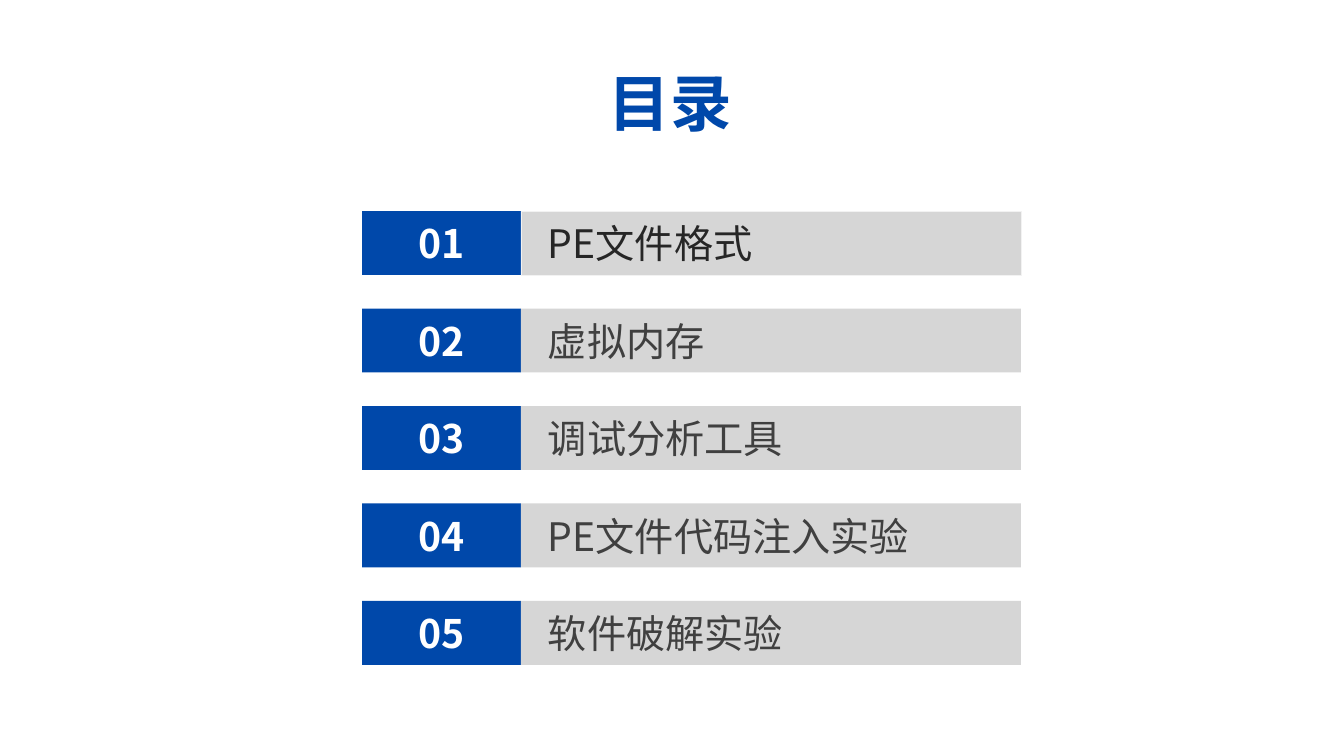
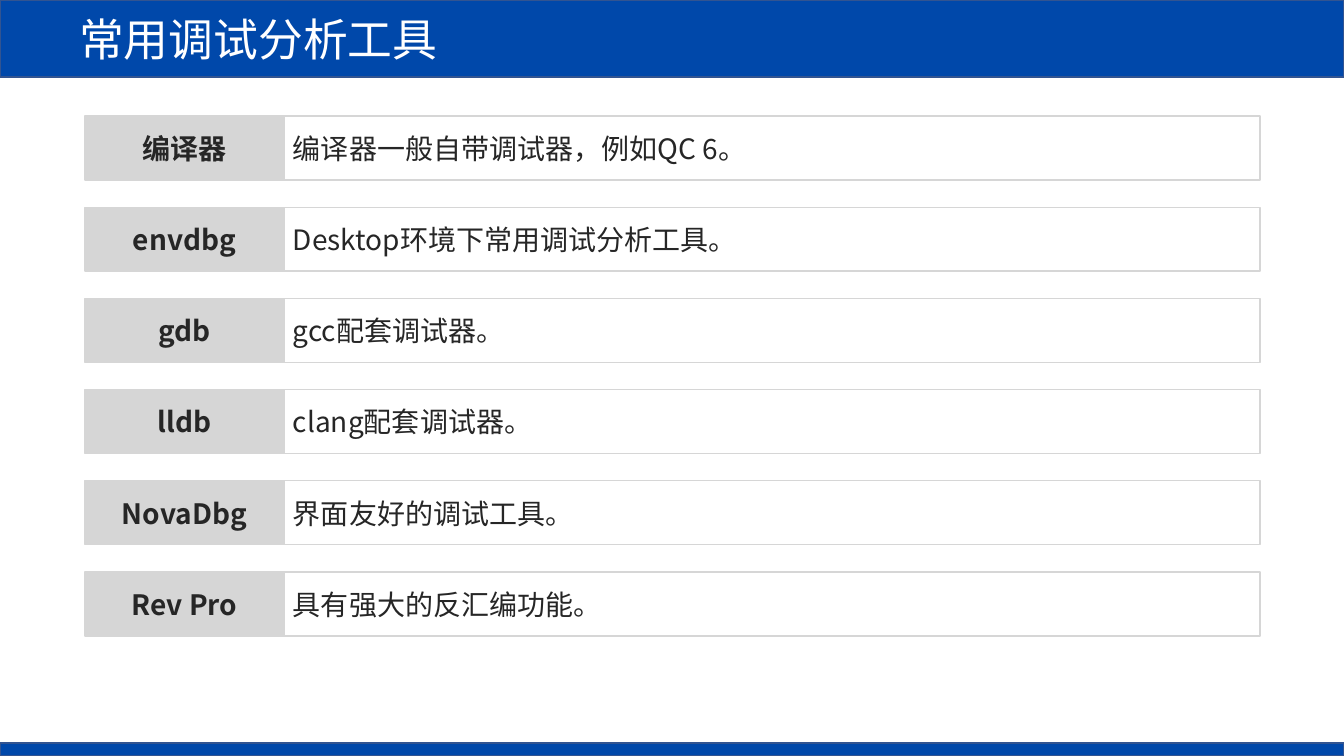
from pptx import Presentation
from pptx.dml.color import RGBColor
from pptx.enum.shapes import MSO_SHAPE
from pptx.enum.text import MSO_ANCHOR, PP_ALIGN
from pptx.oxml.ns import qn
from pptx.util import Pt
from lxml.etree import SubElement

EMU_PER_PX = 914400 / 100.8
SLIDE_W, SLIDE_H = 1344, 756
FONT = "Noto Sans CJK SC"
BLUE, NAVY, GREY, PALE = "0048AA", "325491", "D6D6D6", "F2F2F2"
WHITE, INK, SOFT_INK = "FFFFFF", "262626", "404040"
ROW_H = 64

AGENDA = ["PE文件格式", "虚拟内存", "调试分析工具", "PE文件代码注入实验", "软件破解实验"]
TOOLS = [
    ("编译器", "编译器一般自带调试器，例如QC 6。"),
    ("envdbg", "Desktop环境下常用调试分析工具。"),
    ("gdb", "gcc配套调试器。"),
    ("lldb", "clang配套调试器。"),
    ("NovaDbg", "界面友好的调试工具。"),
    ("Rev Pro", "具有强大的反汇编功能。"),
]


def px(length):
    return round(length * EMU_PER_PX)


def color(hex_string):
    return RGBColor.from_string(hex_string)


def write(shape, text, size, ink, bold=False, align=PP_ALIGN.LEFT,
          anchor=MSO_ANCHOR.MIDDLE, indent=9, wrap=True):
    frame = shape.text_frame
    frame.word_wrap = wrap
    frame.vertical_anchor = anchor
    frame.margin_left, frame.margin_right = px(indent), px(9)
    frame.margin_top = frame.margin_bottom = px(5)
    paragraph = frame.paragraphs[0]
    paragraph.alignment = align
    run = paragraph.add_run()
    run.text = text
    run.font.name = FONT
    run.font.size = Pt(size)
    run.font.bold = bold
    run.font.color.rgb = color(ink)
    SubElement(run.font._element, qn("a:ea"), typeface=FONT)


def panel(slide, box, fill=None, line=None, line_width=1):
    shape = slide.shapes.add_shape(MSO_SHAPE.RECTANGLE, *map(px, box))
    shape.shadow.inherit = False
    if fill:
        shape.fill.solid()
        shape.fill.fore_color.rgb = color(fill)
    else:
        shape.fill.background()
    if line:
        shape.line.color.rgb = color(line)
        shape.line.width = Pt(line_width)
    else:
        shape.line.fill.background()
    return shape


def row_boxes(box, count, label_w):
    left, top, width, height = box
    pitch = (height - ROW_H) / (count - 1)
    for index in range(count):
        y = top + index * pitch
        yield ((left, y, label_w, ROW_H),
               (left + label_w, y, width - label_w, ROW_H))


def agenda_title(slide, box):
    title = slide.shapes.add_textbox(*map(px, box))
    write(title, "目录", 44, BLUE, bold=True, anchor=MSO_ANCHOR.TOP, wrap=False)


def agenda_rows(slide, box):
    rows = row_boxes(box, len(AGENDA), 159)
    for number, (topic, (number_box, topic_box)) in enumerate(zip(AGENDA, rows), 1):
        current = number == 1
        write(panel(slide, number_box, BLUE), f"{number:02}", 28, WHITE,
              bold=True, align=PP_ALIGN.CENTER)
        write(panel(slide, topic_box, GREY, PALE if current else None, 0.5),
              topic, 28, INK if current else SOFT_INK, indent=27)


def header_and_footer(slide, title):
    header = panel(slide, (0, 0, SLIDE_W, 77), BLUE, NAVY)
    write(header, title, 32, WHITE, indent=79)
    panel(slide, (0, SLIDE_H - 13, SLIDE_W, 13), BLUE, NAVY)


def tool_rows(slide, box):
    rows = row_boxes(box, len(TOOLS), 199)
    for (tool, description), (tool_box, description_box) in zip(TOOLS, rows):
        write(panel(slide, tool_box, GREY, GREY), tool, 20, INK,
              bold=True, align=PP_ALIGN.CENTER)
        write(panel(slide, description_box, line=GREY), description, 20, INK)


def main():
    deck = Presentation()
    deck.slide_width, deck.slide_height = px(SLIDE_W), px(SLIDE_H)
    blank = deck.slide_layouts[6]

    agenda = deck.slides.add_slide(blank)
    agenda_title(agenda, (600, 60, 145, 85))
    agenda_rows(agenda, (362, 211, 659, 454))

    tools = deck.slides.add_slide(blank)
    header_and_footer(tools, "常用调试分析工具")
    tool_rows(tools, (85, 116, 1175, 520))

    deck.save("out.pptx")


if __name__ == "__main__":
    main()
